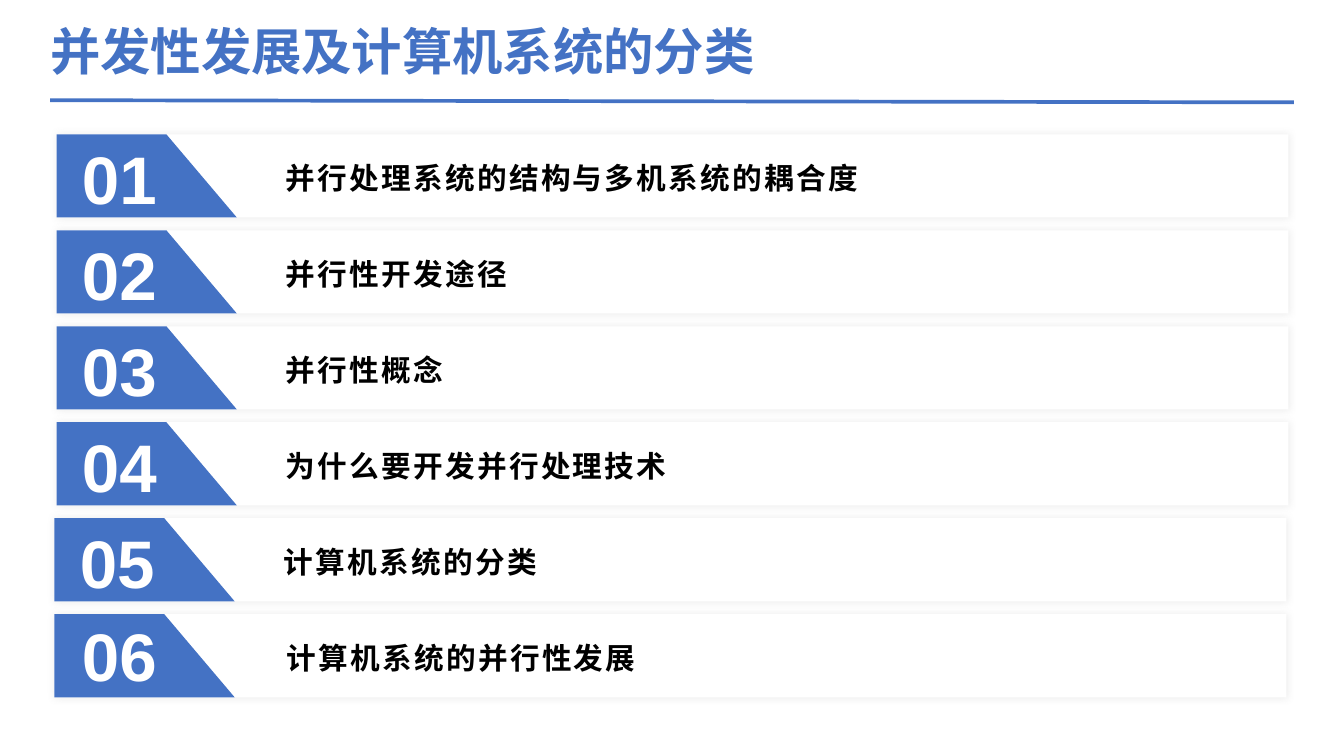
from lxml import etree
from pptx import Presentation
from pptx.dml.color import RGBColor
from pptx.enum import shapes, text
from pptx.oxml import ns
from pptx.util import Inches, Pt

BLUE, WHITE, BLACK, GRAY = "4472C4", "FFFFFF", "000000", "808080"
TOP, STEP, HEIGHT = 1.26, 0.9, 0.78

# Label, card left, label left, number left, number rise above the card
ROWS = [
    ("并行处理系统的结构与多机系统的耦合度", 0.53, 2.59, 0.67, 0.04),
    ("并行性开发途径", 0.53, 2.59, 0.67, 0.04),
    ("并行性概念", 0.53, 2.59, 0.67, 0.04),
    ("为什么要开发并行处理技术", 0.53, 2.59, 0.67, 0.04),
    ("计算机系统的分类", 0.51, 2.57, 0.65, 0.04),
    ("计算机系统的并行性发展", 0.51, 2.6, 0.67, 0.07),
]


def color(code):
    return RGBColor.from_string(code)


def place(shape, left, top, width, height):
    shape.left, shape.top = Inches(left), Inches(top)
    shape.width, shape.height = Inches(width), Inches(height)


def write(shape, words, size, ink, anchor="MIDDLE", insets=(0.1, 0.05, 0.1, 0.05),
          leading=None, spacing=None):
    frame = shape.text_frame
    frame.word_wrap = True
    frame.auto_size = text.MSO_AUTO_SIZE.NONE
    frame.vertical_anchor = text.MSO_ANCHOR[anchor]
    (frame.margin_left, frame.margin_top,
     frame.margin_right, frame.margin_bottom) = map(Inches, insets)
    para = frame.paragraphs[0]
    para.alignment = text.PP_ALIGN.LEFT
    if leading:
        para.line_spacing = leading
    run = para.add_run()
    run.text = words
    font = run.font
    font.name, font.size, font.bold = "Arial", Pt(size), True
    font.color.rgb = color(ink)
    if spacing:
        font._element.set("spc", str(round(spacing * 100)))


def label(slide, words, box, **style):
    write(slide.shapes.add_textbox(*map(Inches, box)), words, **style)


def paint(shape, fill):
    shape.shadow.inherit = False
    shape.fill.solid()
    shape.fill.fore_color.rgb = color(fill)
    shape.line.fill.background()


def card(slide, left, top):
    box = slide.shapes.add_shape(
        shapes.MSO_SHAPE.RECTANGLE, *map(Inches, (left, top, 11.55, HEIGHT)))
    paint(box, WHITE)
    # Soft glow on all sides
    effects = box._element.spPr.find(ns.qn("a:effectLst"))
    glow = etree.SubElement(effects, ns.qn("a:outerShdw"), blurRad=str(Pt(5)),
                            dist="0", algn="ctr", rotWithShape="0")
    tint = etree.SubElement(glow, ns.qn("a:srgbClr"), val=GRAY)
    etree.SubElement(tint, ns.qn("a:alpha"), val="15000")


def tab(slide, left, top):
    corners = [(left, top), (left + 1.03, top),
               (left + 1.69, top + HEIGHT), (left, top + HEIGHT)]
    points = [(Inches(x), Inches(y)) for x, y in corners]
    outline = slide.shapes.build_freeform(*points[0])
    outline.add_line_segments(points[1:], close=True)
    paint(outline.convert_to_shape(), BLUE)


def rule(slide, *ends):
    line = slide.shapes.add_connector(
        shapes.MSO_CONNECTOR.STRAIGHT, *map(Inches, ends))
    line.line.color.rgb = color(BLUE)
    line.line.width = Pt(2.5)
    etree.SubElement(line._element.spPr, ns.qn("a:effectLst"))


def main():
    deck = Presentation()
    deck.slide_width, deck.slide_height = Inches(12.6), Inches(7.09)
    slide = deck.slides.add_slide(deck.slide_layouts[5])

    # Heading
    title = slide.shapes.title
    place(title, 0.47, 0.16, 11.65, 0.63)
    write(title, "并发性发展及计算机系统的分类", size=34, ink=BLUE, insets=(0, 0, 0, 0))
    rule(slide, 0.47, 0.94, 12.13, 0.96)

    # Numbered agenda rows
    for i, (words, left, start, digit, rise) in enumerate(ROWS):
        top = TOP + i * STEP
        card(slide, left, top)
        tab(slide, left, top)
        label(slide, words, (start, top + 0.19, 8.74, 0.38), size=20, ink=BLACK,
              anchor="BOTTOM", insets=(0.09, 0.05, 0.09, 0), leading=1.2, spacing=1.5)
        label(slide, f"{i + 1:02}", (digit, top - rise, 0.93, 0.89),
              size=45.4, ink=WHITE)

    deck.save("out.pptx")


if __name__ == "__main__":
    main()
